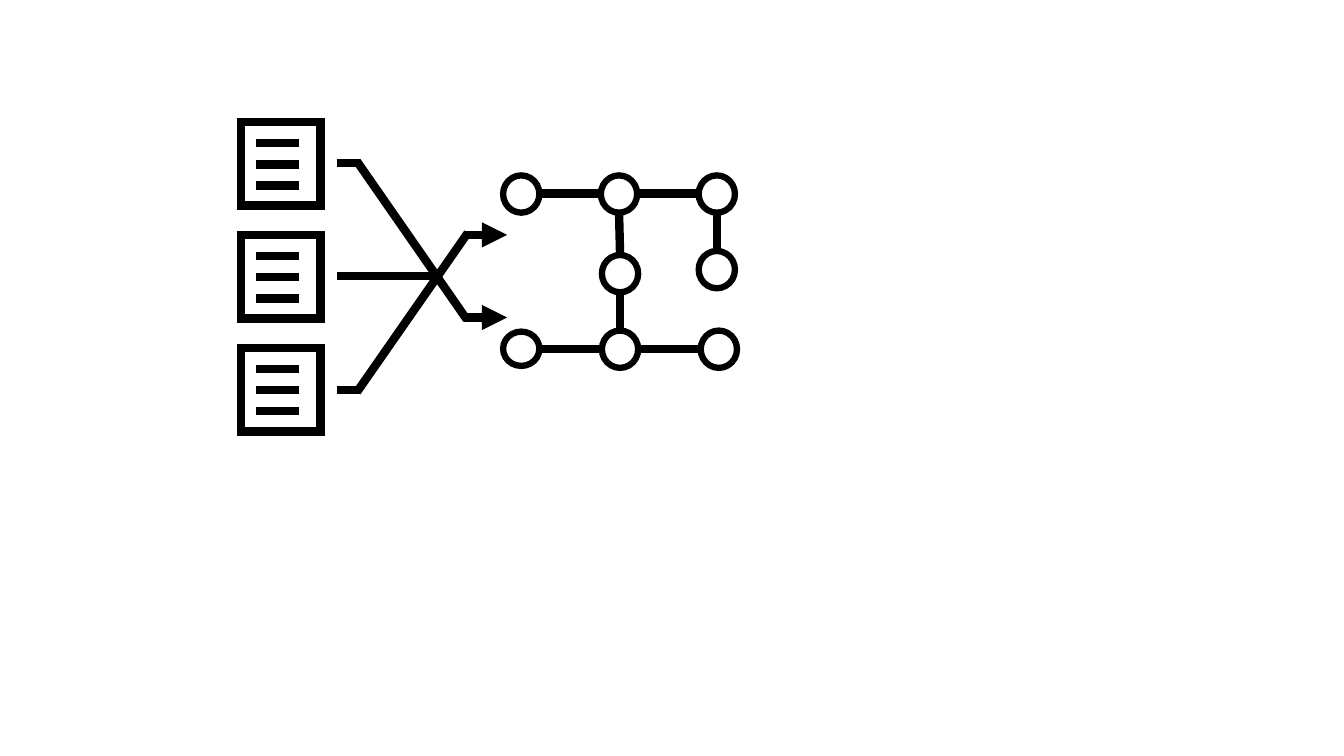
from lxml import etree
from pptx import Presentation
from pptx import util as u
from pptx.dml.color import RGBColor
from pptx.enum import shapes
from pptx.oxml.ns import qn

PX = 9144
COLORS = {"ink": "000000"}


def px(n):
    """Turn px into EMU."""
    return u.Emu(n * PX)


def style_line(sp, weight, arrow=False):
    """Give a shape or connector a mitred ink line, with an optional arrowhead."""
    sp.line.color.rgb = RGBColor.from_string(COLORS["ink"])
    sp.line.width = u.Pt(weight)
    ln = sp.line._get_or_add_ln()
    etree.SubElement(ln, qn("a:miter"), lim="800000")
    if arrow:
        etree.SubElement(ln, qn("a:tailEnd"), type="triangle")


def add_line(s, x1, y1, x2, y2, arrow=False):
    """Draw a heavy straight line between two points."""
    sp = s.add_connector(shapes.MSO_CONNECTOR.STRAIGHT, px(x1), px(y1), px(x2), px(y2))
    style_line(sp, 6, arrow)
    etree.SubElement(sp._element.spPr, qn("a:effectLst"))


def add_outline(s, kind, x, y, w, h, weight):
    """Draw an unfilled shape with an ink outline."""
    sp = s.add_shape(kind, px(x), px(y), px(w), px(h))
    sp.fill.background()
    sp.shadow.inherit = False
    style_line(sp, weight)


def add_document(slide, x, y, w, h):
    """Draw a document icon with three evenly spaced text bars."""
    s = slide.shapes.add_group_shape().shapes
    add_outline(s, shapes.MSO_SHAPE.RECTANGLE, x, y, w, h, 6)
    for i in range(1, 4):
        add_line(s, x + 15, y + 21 * i, x + 58, y + 21 * i)


def add_crossing(slide, x, y):
    """Draw three inputs that cross and leave as two arrows."""
    s = slide.shapes.add_group_shape().shapes
    for dy, length in ((0, 23), (112, 97), (225, 23)):
        add_line(s, x, y + dy, x + length, y + dy)
    for dy in (71, 153):
        add_line(s, x + 126, y + dy, x + 169, y + dy, arrow=True)
    add_line(s, x + 20, y + 227, x + 130, y + 69)
    add_line(s, x + 129, y + 155, x + 20, y - 2)


def add_network(slide, x, y):
    """Draw the graph of round nodes and the edges between their rims."""
    s = slide.shapes.add_group_shape().shapes
    w, h = 36, 37
    nodes = {
        "top left": (0, 0), "top mid": (97, 0), "top right": (194, 0),
        "centre": (98, 79), "right": (194, 75),
        "low left": (0, 154), "low mid": (98, 154), "low right": (196, 154),
    }
    across = (("top left", "top mid"), ("top mid", "top right"),
              ("low left", "low mid"), ("low mid", "low right"))
    down = (("top mid", "centre"), ("top right", "right"), ("centre", "low mid"))
    for name, (dx, dy) in nodes.items():
        inset = 1 if name == "low left" else 0
        add_outline(s, shapes.MSO_SHAPE.OVAL, x + dx, y + dy + inset, w, h - 3 * inset, 4.5)
    for a, b in across:
        (ax, ay), (bx, by) = nodes[a], nodes[b]
        add_line(s, x + ax + w, y + ay + h // 2, x + bx, y + by + h // 2)
    for a, b in down:
        (ax, ay), (bx, by) = nodes[a], nodes[b]
        add_line(s, x + ax + w // 2, y + ay + h, x + bx + w // 2, y + by)


def main():
    """Build the slide of documents feeding a network."""
    prs = Presentation()
    prs.slide_width, prs.slide_height = px(1333), px(750)
    slide = prs.slides.add_slide(prs.slide_layouts[6])
    for i in range(3):
        add_document(slide, 239, 121 + 112 * i, 79, 83)
    add_crossing(slide, 334, 162)
    add_network(slide, 499, 174)
    prs.save("out.pptx")


if __name__ == "__main__":
    main()
